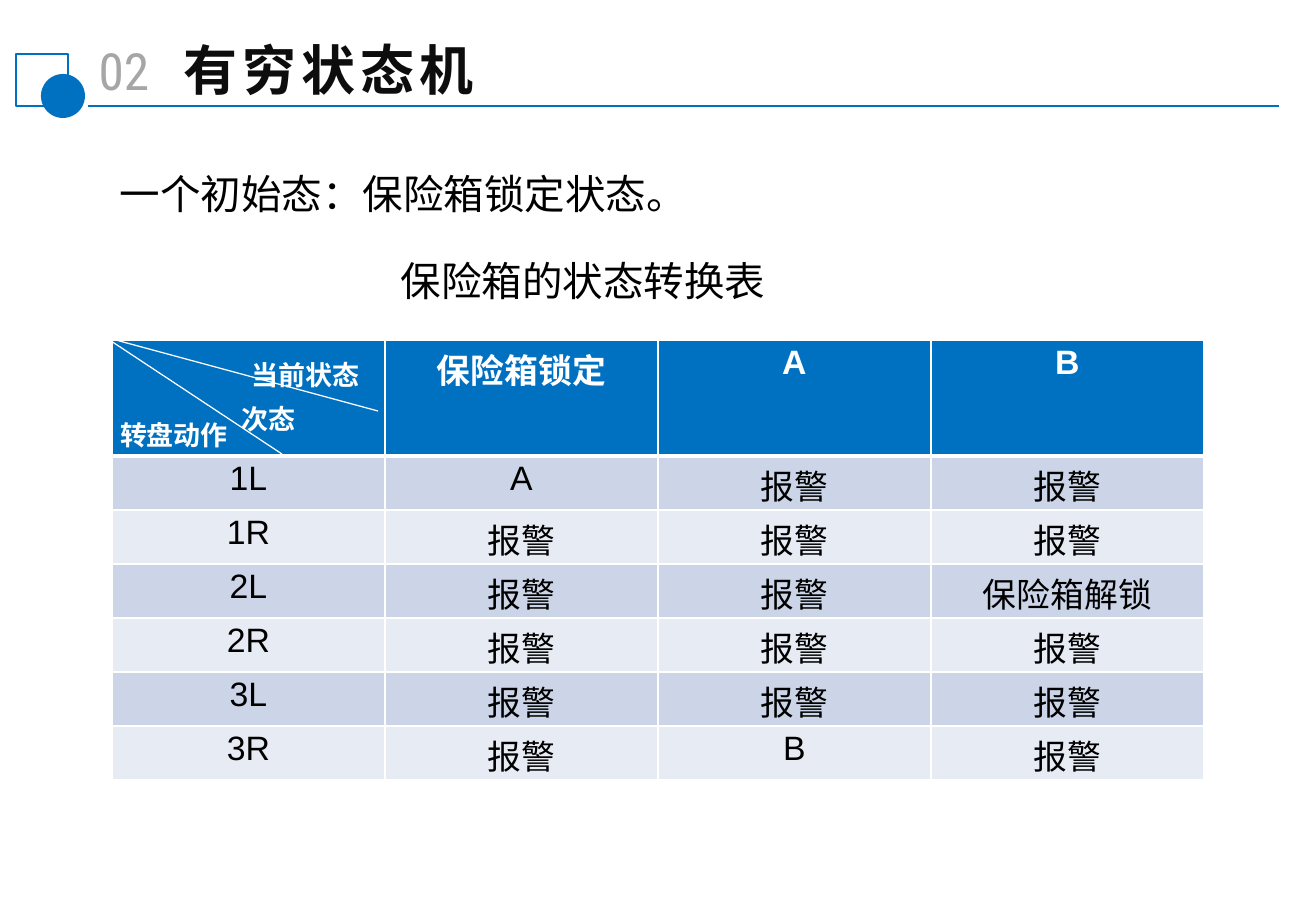
from lxml.etree import SubElement
from pptx import Presentation
from pptx.dml.color import RGBColor
from pptx.enum.shapes import MSO_CONNECTOR as CONN, MSO_SHAPE as SHAPE
from pptx.enum.text import MSO_ANCHOR as ANCHOR, MSO_AUTO_SIZE as AUTO, PP_ALIGN as ALIGN
from pptx.oxml.ns import qn
from pptx.util import Pt

PX = 7526  # EMU per px
BLUE = RGBColor(0x00, 0x70, 0xC0)
GREY = RGBColor(0xA6, 0xA6, 0xA6)
INK = RGBColor(0x0D, 0x0D, 0x0D)
BLACK = RGBColor(0, 0, 0)
WHITE = RGBColor(0xFF, 0xFF, 0xFF)
BANDS = [RGBColor(0xCC, 0xD5, 0xE8), RGBColor(0xE7, 0xEB, 0xF4)]
CJK = "Noto Sans CJK SC"

NUMBER, TITLE = "02", "有穷状态机"
INTRO = "一个初始态：保险箱锁定状态。"
CAPTION = "保险箱的状态转换表"
CURRENT, NEXT, ACTION = "当前状态", "次态", "转盘动作"
STATES = ["保险箱锁定", "A", "B"]
TRANSITIONS = [
    ["1L", "A", "报警", "报警"],
    ["1R", "报警", "报警", "报警"],
    ["2L", "报警", "报警", "保险箱解锁"],
    ["2R", "报警", "报警", "报警"],
    ["3L", "报警", "报警", "报警"],
    ["3R", "报警", "B", "报警"],
]
TABLE_LEFT, TABLE_TOP = 112, 340
COL_W, HEADER_H, ROW_H = 273, 116, 54


def box(*lengths):
    return [n * PX for n in lengths]


def write(p, text, size, color, font="Arial", bold=False, align=ALIGN.LEFT,
          indent=0, before=0, spacing=0):
    """Add text to paragraph p; indent in px, other lengths in points."""
    p.alignment = align
    p.space_before = Pt(before)
    if indent:
        p._p.get_or_add_pPr().set("marL", str(indent * PX))
    r = p.add_run()
    r.text = text
    r.font.size, r.font.bold, r.font.name = Pt(size), bold, font
    r.font.color.rgb = color
    rPr = r._r.get_or_add_rPr()
    SubElement(rPr, qn("a:ea"), typeface=CJK)
    if spacing:
        rPr.set("spc", str(spacing * 100))


def frame(shape, anchor=ANCHOR.MIDDLE, top=6):
    tf = shape.text_frame
    tf.word_wrap, tf.auto_size, tf.vertical_anchor = True, AUTO.NONE, anchor
    tf.margin_left = tf.margin_right = 12 * PX
    tf.margin_top, tf.margin_bottom = top * PX, 6 * PX
    return tf


def line(shapes, ends, color, width):
    c = shapes.add_connector(CONN.STRAIGHT, *box(*ends))
    c.line.color.rgb, c.line.width = color, Pt(width)
    SubElement(c._element.spPr, qn("a:effectLst"))


def style_cell(cell, fill, bottom=1, top=4):
    tcPr = cell._tc.get_or_add_tcPr()
    for side, width in (("L", 1), ("R", 1), ("T", 1), ("B", bottom)):
        ln = SubElement(tcPr, qn(f"a:ln{side}"), w=str(Pt(width)))
        SubElement(SubElement(ln, qn("a:solidFill")), qn("a:srgbClr"), val=str(WHITE))
    cell.fill.solid()
    cell.fill.fore_color.rgb = fill
    cell.margin_left = cell.margin_right = 12 * PX
    cell.margin_top, cell.margin_bottom = top * PX, 0


def add_heading(slide):
    line(slide.shapes, (88, 106, 1279, 106), BLUE, 1.25)
    group = slide.shapes.add_group_shape()
    square = group.shapes.add_shape(SHAPE.RECTANGLE, *box(16, 54, 52, 52))
    square.fill.background()
    square.line.color.rgb, square.line.width = BLUE, Pt(0.75)
    dot = group.shapes.add_shape(SHAPE.OVAL, *box(41, 74, 44, 44))
    dot.fill.solid()
    dot.fill.fore_color.rgb = BLUE
    dot.line.fill.background()
    for sp in (square, dot):
        sp.shadow.inherit = False
    tf = frame(slide.shapes.add_textbox(*box(63, 33, 122, 75)))
    write(tf.paragraphs[0], NUMBER, 30.4, GREY, font="Roboto Condensed", align=ALIGN.CENTER)
    title = slide.shapes.title
    title.left, title.top, title.width, title.height = box(171, 29, 601, 79)
    write(frame(title).paragraphs[0], TITLE, 32, INK, font=CJK, bold=True, spacing=3)


def add_table(slide):
    rows, cols = len(TRANSITIONS) + 1, len(STATES) + 1
    table = slide.shapes.add_table(rows, cols, *box(
        TABLE_LEFT, TABLE_TOP, COL_W * cols, HEADER_H + ROW_H * (rows - 1))).table
    table.horz_banding = False
    for col in table.columns:
        col.width = COL_W * PX
    for i, row in enumerate(table.rows):
        row.height = (ROW_H if i else HEADER_H) * PX

    corner = table.cell(0, 0)
    style_cell(corner, BLUE, bottom=3, top=14)
    tf = corner.text_frame
    write(tf.paragraphs[0], CURRENT, 16, WHITE, bold=True, indent=128)
    write(tf.add_paragraph(), NEXT, 16, WHITE, bold=True, indent=118, before=3.5)
    for j, state in enumerate(STATES, 1):
        cell = table.cell(0, j)
        style_cell(cell, BLUE, bottom=3)
        write(cell.text_frame.paragraphs[0], state, 20, WHITE, bold=True, align=ALIGN.CENTER)
    for i, values in enumerate(TRANSITIONS):
        for j, value in enumerate(values):
            cell = table.cell(i + 1, j)
            style_cell(cell, BANDS[i % 2])
            write(cell.text_frame.paragraphs[0], value, 20, BLACK, align=ALIGN.CENTER)


def main():
    prs = Presentation()
    prs.slide_width, prs.slide_height = box(1316, 911)
    slide = prs.slides.add_slide(prs.slide_layouts[5])
    add_heading(slide)
    tf = frame(slide.shapes.add_textbox(*box(108, 169, 1129, 159)), ANCHOR.TOP, top=0)
    write(tf.paragraphs[0], INTRO, 24, BLACK)
    write(tf.add_paragraph(), CAPTION, 24, BLACK, indent=281, before=23)
    add_table(slide)
    line(slide.shapes, (108, 339, 282, 454), WHITE, 0.75)
    line(slide.shapes, (112, 339, 378, 411), WHITE, 0.75)
    tf = frame(slide.shapes.add_textbox(*box(108, 412, 143, 45)))
    write(tf.paragraphs[0], ACTION, 16, WHITE, bold=True)
    prs.save("out.pptx")


if __name__ == "__main__":
    main()
